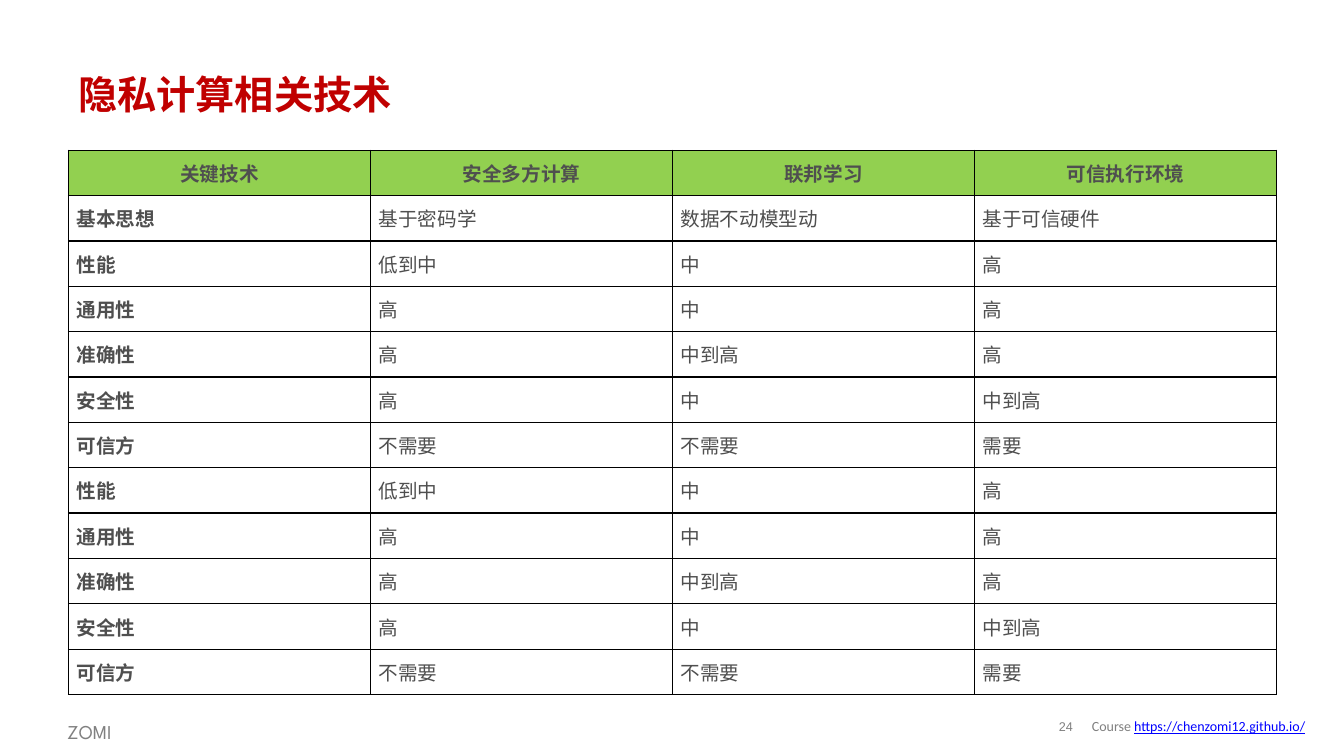
from dataclasses import dataclass

from lxml import etree
from pptx import Presentation
from pptx import util as u
from pptx.dml.color import RGBColor
from pptx.enum import text
from pptx.oxml import ns

WIDE, HIGH = u.Inches(13.34), u.Inches(7.5)
GREY, RED, BLUE = "808080", "C00000", "0000FF"
INK, GREEN, BLACK = "4F4F4F", "92D050", "000000"
MID, TOP = text.MSO_ANCHOR.MIDDLE, text.MSO_ANCHOR.TOP
LEFT, CENTER = text.PP_ALIGN.LEFT, text.PP_ALIGN.CENTER
SIDES = ("left", "right", "top", "bottom")

HEAD = ("关键技术", "安全多方计算", "联邦学习", "可信执行环境")
IDEA = ("基本思想", "基于密码学", "数据不动模型动", "基于可信硬件")
TRAITS = [
    ("性能", "低到中", "中", "高"),
    ("通用性", "高", "中", "高"),
    ("准确性", "高", "中到高", "高"),
    ("安全性", "高", "中", "中到高"),
    ("可信方", "不需要", "不需要", "需要"),
]
ROWS = [HEAD, IDEA, *TRAITS, *TRAITS]


@dataclass
class Run:
    words: str
    size: float
    face: str
    tone: str
    bold: bool = False
    line: bool = False


@dataclass
class Label:
    area: tuple[float, float, float, float]  # percent of the slide
    runs: list[Run]
    anchor: text.MSO_ANCHOR = MID
    align: text.PP_ALIGN = LEFT
    pitch: float = 1.0
    inset: bool = True


LABELS = [
    Label((5.1, 8.13, 89.88, 8.53),
          [Run("隐私计算相关技术", 28, "League Spartan", RED, bold=True)]),
    Label((4.27, 94, 6, 4.8), [Run("ZOMI", 14, "League Spartan", GREY)],
          anchor=TOP, pitch=1.2),
    Label((77.96, 94.13, 2.7, 4.13), [Run("24", 9, "Arial", GREY)],
          align=CENTER, pitch=0.85, inset=False),
    Label((80.51, 94.13, 18.44, 3.87),
          [Run("Course ", 10, "Calibri", GREY),
           Run("https://chenzomi12.github.io/", 10, "Calibri", BLUE, line=True)]),
]
GRID = (5.1, 19.87, 89.88, 72)


def color(code: str) -> RGBColor:
    return RGBColor.from_string(code)


def place(area: tuple[float, float, float, float]) -> list[int]:
    return [round(share * full / 100)
            for share, full in zip(area, (WIDE, HIGH, WIDE, HIGH))]


def write(para, run: Run) -> None:
    part = para.add_run()
    part.text = run.words
    form = {"size": u.Pt(run.size), "name": run.face,
            "bold": run.bold, "underline": run.line}
    for key, value in form.items():
        setattr(part.font, key, value)
    part.font.color.rgb = color(run.tone)


def draw_label(slide, label: Label) -> None:
    frame = slide.shapes.add_textbox(*place(label.area)).text_frame
    form = {"word_wrap": True, "vertical_anchor": label.anchor}
    if not label.inset:
        form |= {f"margin_{side}": 0 for side in SIDES}
    for key, value in form.items():
        setattr(frame, key, value)
    para = frame.paragraphs[0]
    para.alignment, para.line_spacing = label.align, label.pitch
    for run in label.runs:
        write(para, run)


def border(cell) -> None:
    props = cell._tc.get_or_add_tcPr()
    for spot, tag in enumerate(("a:lnL", "a:lnR", "a:lnT", "a:lnB")):
        edge = etree.Element(ns.qn(tag), w=str(u.Pt(1)))
        fill = etree.SubElement(edge, ns.qn("a:solidFill"))
        etree.SubElement(fill, ns.qn("a:srgbClr"), val=BLACK)
        props.insert(spot, edge)


def draw_cell(cell, words: str, head: bool, bold: bool) -> None:
    form = {f"margin_{side}": u.Inches(0.08) for side in SIDES}
    form["vertical_anchor"] = MID
    for key, value in form.items():
        setattr(cell, key, value)
    if head:
        cell.fill.solid()
        cell.fill.fore_color.rgb = color(GREEN)
    else:
        cell.fill.background()
    para = cell.text_frame.paragraphs[0]
    para.alignment = CENTER if head else LEFT
    write(para, Run(words, 14, "Arial", INK, bold))
    border(cell)


def draw_table(slide, rows: list[tuple[str, ...]]) -> None:
    table = slide.shapes.add_table(len(rows), len(rows[0]), *place(GRID)).table
    table.first_row = table.horz_banding = False
    for r, row in enumerate(rows):
        for c, words in enumerate(row):
            draw_cell(table.cell(r, c), words, r == 0, r == 0 or c == 0)


def main() -> None:
    deck = Presentation()
    deck.slide_width, deck.slide_height = WIDE, HIGH
    slide = deck.slides.add_slide(deck.slide_layouts[6])
    # Title and footer
    for label in LABELS:
        draw_label(slide, label)
    # Comparison table
    draw_table(slide, ROWS)
    deck.save("out.pptx")


if __name__ == "__main__":
    main()
